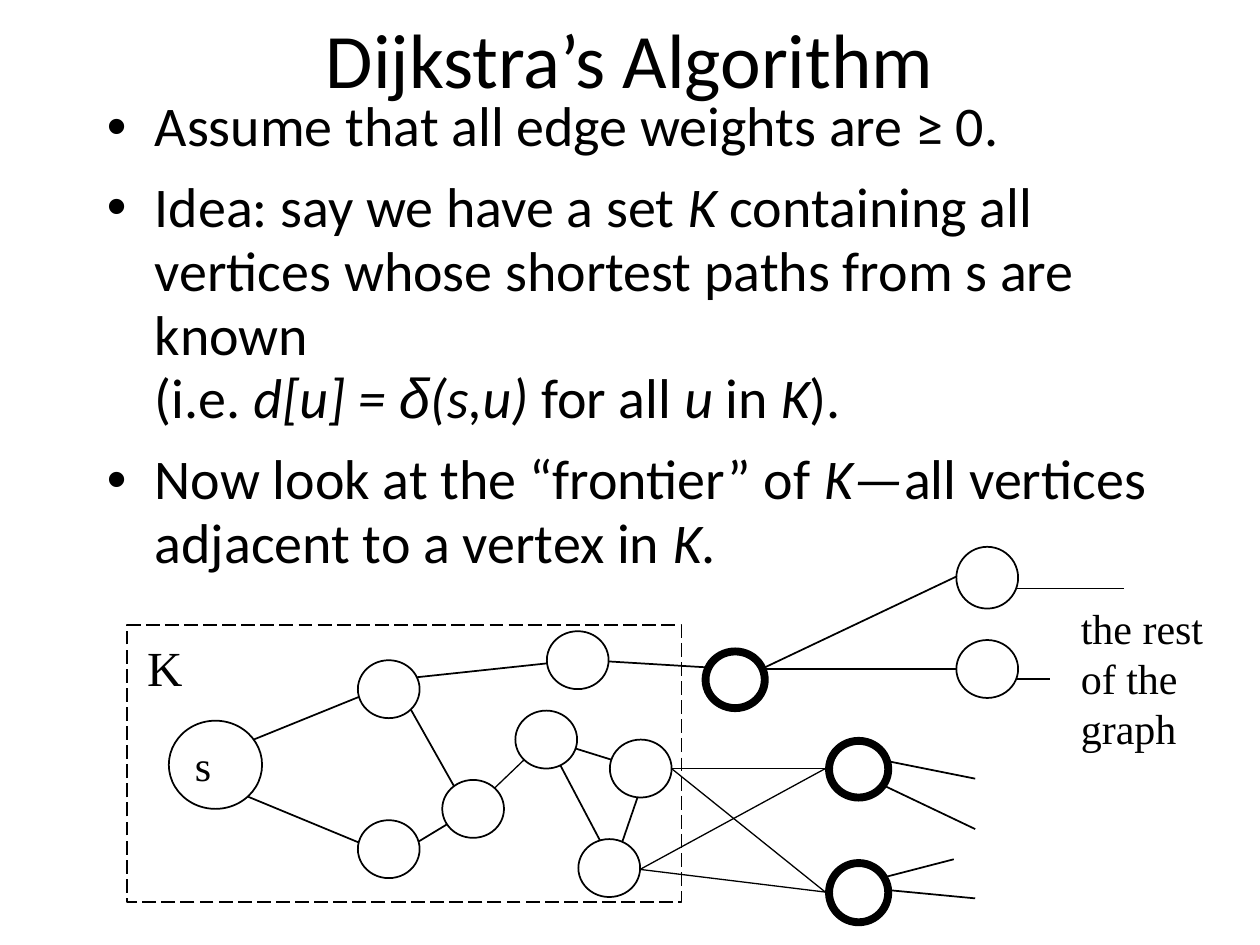
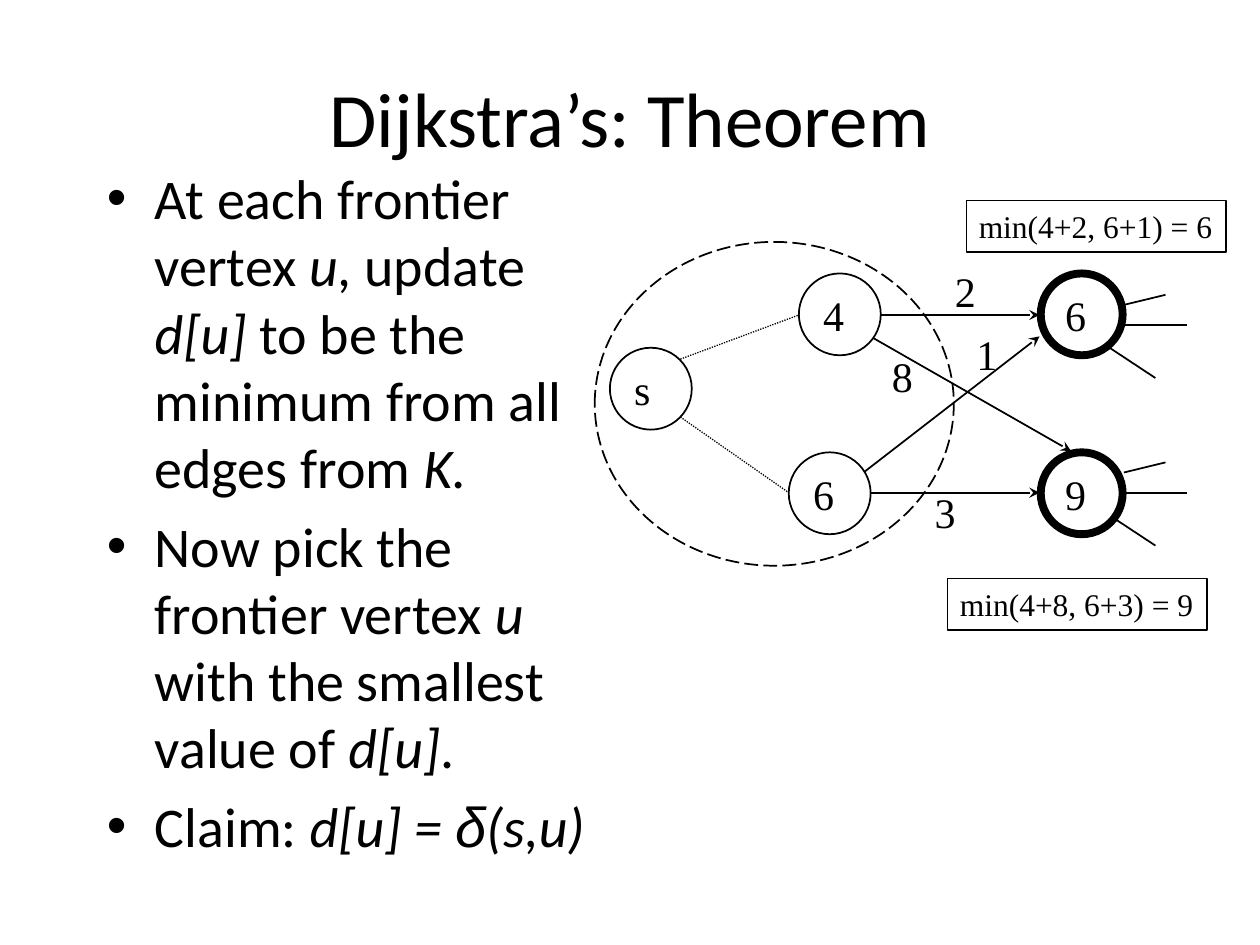
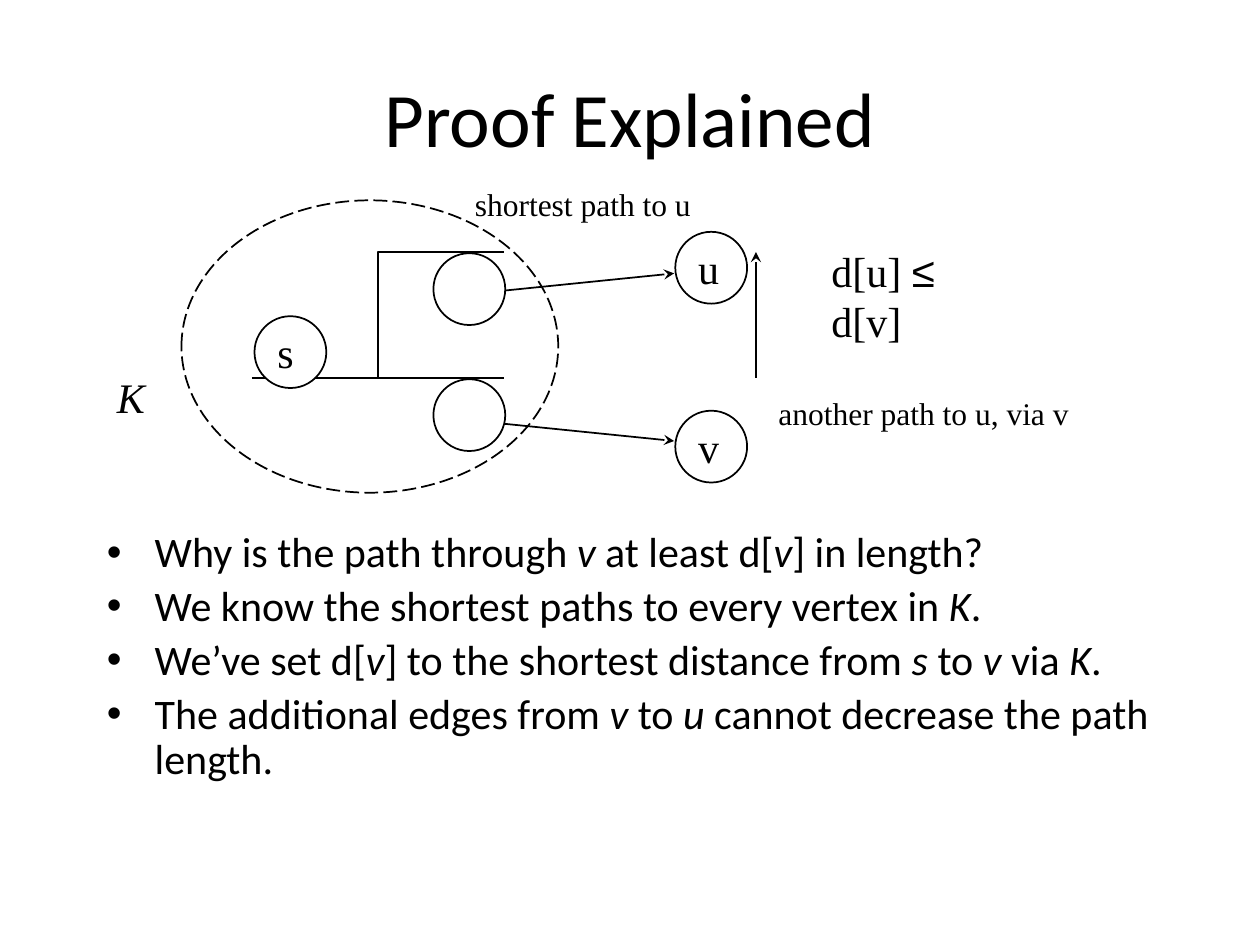
from itertools import groupby

from lxml import etree
from pptx import Presentation
from pptx import util as u
from pptx.dml.color import RGBColor
from pptx.enum import dml, shapes, text
from pptx.oxml.ns import qn

HUES = {"ink": "000000", "node": "FFFFFF"}
SANS, SERIF, MATH = "Calibri", "Times New Roman", "Arial"
DASH, DOT = dml.MSO_LINE.LONG_DASH, dml.MSO_LINE.ROUND_DOT
OVAL, RECT = shapes.MSO_SHAPE.OVAL, shapes.MSO_SHAPE.RECTANGLE
THIN, LINE, BOLD = 0.75, 1, 4.5
HEAD = (0.5, 0.3, 9, 1.25)

# In the bullets, * turns italics on and off.
IDEA = [
    "Assume that all edge weights are ≥ 0.",
    "Idea: say we have a set *K* containing all vertices whose shortest paths "
    "from s are known \n(i.e. *d[u] = δ(s,u)* for all *u* in *K*).",
    "Now look at the “frontier” of *K—*all vertices adjacent to a vertex in *K*.",
]
CLAIM = [
    "At each frontier vertex *u*, update *d[u] *to be the minimum from all edges from *K.*",
    "Now pick the frontier vertex *u* with the smallest value of *d[u]*.",
    "Claim: *d[u] = δ(s,u)*",
]
PROOF = [
    "Why is the path through *v* at least d[*v*] in length?",
    "We know the shortest paths to every vertex in *K*.",
    "We’ve set d[*v*] to the shortest distance from *s* to *v* via *K*.",
    "The additional edges from *v* to *u* cannot decrease the path length.",
]

# Edges: x1, y1, x2, y2
GRAPH = [
    (1.84, 5.94, 3, 5.47), (1.84, 6.27, 3.17, 6.82), (3.17, 5.39, 4.67, 5.23),
    (3.17, 5.47, 3.75, 6.5), (3.09, 6.82, 3.75, 6.42), (4.34, 5.87, 5.08, 6.1),
    (4.34, 5.87, 4.92, 6.97), (5.08, 6.27, 4.84, 6.97), (4.67, 5.24, 5.83, 5.31),
    (5.92, 5.31, 7.83, 5.31), (6, 5.33, 7.75, 4.5), (8, 4.67, 8.92, 4.67),
    (7.92, 5.39, 8.33, 5.39), (6.99, 6.03, 7.74, 6.18), (6.9, 6.18, 7.74, 6.58),
    (6.99, 6.97, 7.57, 6.82), (6.9, 7.05, 7.74, 7.13),
]
CROSS = [
    (3.92, 6.26, 4.16, 6.03), (5.33, 6.1, 6.55, 6.1), (5.33, 6.1, 6.55, 7.08),
    (5.08, 6.9, 6.55, 6.1), (5.08, 6.9, 6.55, 7.08),
]
KNOWN = [(2.84, 5.24), (4.34, 5.01), (4.09, 5.64), (2.84, 6.51), (3.51, 6.19),
         (4.84, 5.87), (4.59, 6.66), (7.59, 5.08)]
FRONT = [(5.6, 5.17, 0.45), (6.58, 5.88, 0.45), (6.58, 6.85, 0.47)]

COSTS = [(6.92, 2.5, 8.25, 2.5), (6.67, 3.91, 8.25, 3.91),
         (6.75, 3.83, 8.25, 2.67), (6.75, 2.58, 8.5, 3.58)]
PATHS = [(5.4, 2.85, 6.34, 2.5), (5.4, 3.31, 6.26, 3.91)]
FAN = [(8.67, 0.5, 9.17, 0.83), (8.75, 0.41, 9.42, 0.41), (8.92, 0.25, 9.25, 0.17)]
FAN_TOPS = (2.17, 3.5)
DISKS = [("s", 4.84, 2.76, LINE), ("4", 6.34, 2.17, LINE), ("6", 6.26, 3.59, LINE),
         ("6", 8.26, 2.17, BOLD), ("9", 8.26, 3.59, BOLD)]
WEIGHTS = [("2", 7.48, 2.06), ("1", 7.65, 2.56), ("3", 7.32, 3.81), ("8", 6.98, 2.73)]
SUMS = [("min(4+2, 6+1) = 6", 7.67, 1.59), ("min(4+8, 6+3) = 9", 7.52, 4.59)]

STEPS = [(3.77, 2.33, 5.35, 2.17), (3.77, 3.34, 5.35, 3.5)]
ROUND = [("s", 2.02, 2.51), ("", 3.44, 2.01), ("", 3.44, 3.01),
         ("u", 5.36, 1.84), ("v", 5.36, 3.26)]
NOTES = [("shortest path to u", 3.67, 1.42, 1.92), ("another path to u, via v", 6.08, 3.08, 2.51)]
UPPER = [
    (2.43, 2.67), (2.48, 2.65), (2.53, 2.6), (2.6, 2.53), (2.65, 2.49), (2.71, 2.45),
    (2.76, 2.42), (2.8, 2.41), (2.84, 2.42), (2.89, 2.45), (2.94, 2.47), (2.98, 2.48),
    (3.04, 2.49), (3.09, 2.52), (3.28, 2.52), (3.34, 2.49), (3.41, 2.46), (3.46, 2.43),
    (3.51, 2.41), (3.55, 2.38), (3.59, 2.37), (3.64, 2.35),
]
LOWER = [
    (2.52, 2.92), (2.56, 2.88), (2.66, 2.88), (2.71, 2.87), (2.74, 2.91), (2.76, 2.95),
    (2.79, 2.99), (2.8, 3.03), (2.81, 3.07), (2.85, 3.11), (2.91, 3.15), (3.23, 3.15),
    (3.28, 3.17), (3.31, 3.21), (3.35, 3.24), (3.4, 3.27), (3.45, 3.27), (3.49, 3.28),
    (3.6, 3.33),
]
DETOUR = [
    (5.68, 3.25), (5.76, 3.19), (5.81, 3.13), (5.84, 3.1), (5.85, 3.06), (5.86, 3.03),
    (5.85, 3), (5.82, 2.97), (5.79, 2.94), (5.73, 2.91), (5.68, 2.88), (5.62, 2.84),
    (5.57, 2.81), (5.54, 2.78), (5.52, 2.75), (5.53, 2.72), (5.55, 2.68), (5.59, 2.65),
    (5.63, 2.62), (5.68, 2.58), (5.72, 2.55), (5.75, 2.52), (5.77, 2.5), (5.77, 2.47),
    (5.74, 2.44), (5.7, 2.43), (5.69, 2.42), (5.68, 2.41),
]


def inches(*nums):
    return [u.Inches(n) for n in nums]


def hue(name):
    return RGBColor.from_string(HUES[name])


def style(font, face, size):
    font.name, font.size = face, u.Pt(size)
    font.color.rgb = hue("ink")


def pen(item, width=LINE, dash=None, arrow=False):
    line = item.line
    line.color.rgb = hue("ink")
    line.width = u.Pt(width)
    if dash:
        line.dash_style = dash
    if arrow:
        ln = item._element.spPr.find(qn("a:ln"))
        etree.SubElement(ln, qn("a:tailEnd"), type="stealth")


def write(para, words, face, size):
    """Add runs: * toggles italics, a newline breaks the line, δ and ≤ take the math font."""
    for i, part in enumerate(words.split("*")):
        for mark, chars in groupby(part, lambda c: c if c in "δ≤\n" else ""):
            if mark == "\n":
                para.add_line_break()
                continue
            run = para.add_run()
            run.text = "".join(chars)
            style(run.font, MATH if mark else face, size)
            run.font.italic = i % 2 == 1


def label(slide, words, x, y, w, h=0.5, size=24, wrap=False):
    box = slide.shapes.add_textbox(*inches(x, y, w, h))
    frame = box.text_frame
    frame.word_wrap = wrap
    for i, row in enumerate(words.split("\n")):
        para = frame.add_paragraph() if i else frame.paragraphs[0]
        write(para, row, SERIF, size)
    return box


def bullets(slide, rows, at, size, gap, pitch=1.0):
    frame = slide.shapes.add_textbox(*inches(*at)).text_frame
    frame.word_wrap = True
    for i, row in enumerate(rows):
        para = frame.add_paragraph() if i else frame.paragraphs[0]
        para.line_spacing = pitch
        if i:
            para.space_before = u.Pt(size * gap)
        props = para._p.get_or_add_pPr()
        props.set("marL", str(u.Inches(0.38)))
        props.set("indent", str(u.Inches(-0.38)))
        etree.SubElement(props, qn("a:buFont"), typeface=MATH)
        etree.SubElement(props, qn("a:buChar"), char="•")
        write(para, row, SANS, size)


def shape(slide, kind, at, width=LINE, dash=None, fill=None, words=""):
    item = slide.shapes.add_shape(kind, *inches(*at))
    item.shadow.inherit = False
    if fill:
        item.fill.solid()
        item.fill.fore_color.rgb = hue(fill)
    else:
        item.fill.background()
    pen(item, width, dash)
    if words:
        frame = item.text_frame
        frame.word_wrap = False
        frame.vertical_anchor = text.MSO_ANCHOR.MIDDLE
        para = frame.paragraphs[0]
        para.alignment = text.PP_ALIGN.LEFT
        write(para, words, SERIF, 24)


def node(slide, x, y, w, h, width=LINE, words=""):
    shape(slide, OVAL, (x, y, w, h), width, fill="node", words=words)


def edges(slide, ends, width=LINE, dash=None, arrow=False):
    for end in ends:
        link = slide.shapes.add_connector(shapes.MSO_CONNECTOR.STRAIGHT, *inches(*end))
        pen(link, width, dash, arrow)
        etree.SubElement(link._element.spPr, qn("a:effectLst"))


def curve(slide, dots, arrow=False):
    path = slide.shapes.build_freeform(*dots[0], scale=u.Inches(1))
    path.add_line_segments(dots[1:], close=False)
    item = path.convert_to_shape()
    item.shadow.inherit = False
    item.fill.background()
    pen(item, arrow=arrow)


def start(deck, words, at=HEAD):
    slide = deck.slides.add_slide(deck.slide_layouts[5])
    title = slide.shapes.title
    title.left, title.top, title.width, title.height = inches(*at)
    frame = title.text_frame
    frame.text = words
    frame.vertical_anchor = text.MSO_ANCHOR.MIDDLE
    para = frame.paragraphs[0]
    para.alignment = text.PP_ALIGN.CENTER
    style(para.runs[0].font, SANS, 44)
    return slide


def idea(deck):
    slide = start(deck, "Dijkstra’s Algorithm", (0.75, 0, 8.5, 0.92))
    bullets(slide, IDEA, (0.75, 0.71, 8.5, 4.17), 32, 0.3, 0.95)
    shape(slide, RECT, (1.01, 4.96, 4.4, 2.2), dash=DASH)
    edges(slide, GRAPH)
    edges(slide, CROSS, THIN)
    node(slide, 1.34, 5.72, 0.74, 0.7, words="s")
    node(slide, 7.59, 4.34, 0.49, 0.49)
    for x, y in KNOWN:
        node(slide, x, y, 0.49, 0.46)
    for x, y, h in FRONT:
        node(slide, x, y, 0.47, h, BOLD)
    label(slide, "K", 1.07, 5.01, 0.48, 0.57, 28)
    label(slide, "the rest\nof the\ngraph", 8.48, 4.73, 1.17, 1.3)


def claim(deck):
    slide = start(deck, "Dijkstra’s: Theorem")
    bullets(slide, CLAIM, (0.75, 1.25, 4.17, 5.42), 32, 0.2)
    shape(slide, OVAL, (4.72, 1.92, 2.85, 2.57), dash=DASH)
    edges(slide, COSTS, arrow=True)
    edges(slide, PATHS, THIN, DOT)
    for top in FAN_TOPS:
        edges(slide, [(a, top + b, c, top + d) for a, b, c, d in FAN])
    for words, x, y, width in DISKS:
        node(slide, x, y, 0.65, 0.65, width, words)
    for words, x, y in WEIGHTS:
        label(slide, words, x, y, 0.37)
    for words, x, y in SUMS:
        pen(label(slide, words, x, y, 2.06, 0.41, 18), THIN)


def proof(deck):
    slide = start(deck, "Proof Explained")
    bullets(slide, PROOF, (0.75, 4.17, 8.5, 2.25), 24, 0.2, 0.9)
    shape(slide, OVAL, (1.44, 1.59, 2.99, 2.32), dash=DASH)
    curve(slide, UPPER)
    curve(slide, LOWER)
    edges(slide, STEPS, arrow=True)
    for words, x, y in ROUND:
        node(slide, x, y, 0.57, 0.57, words=words)
    curve(slide, DETOUR, arrow=True)
    label(slide, "d[u] ≤ d[v]", 6.5, 1.9, 1.3, 0.9, wrap=True)
    label(slide, "*K*", 0.83, 2.9, 0.42)
    for words, x, y, w in NOTES:
        label(slide, words, x, y, w, 0.4, 18)


def main():
    deck = Presentation()
    deck.slide_width, deck.slide_height = inches(10, 7.5)
    for build in (idea, claim, proof):
        build(deck)
    deck.save("out.pptx")


if __name__ == "__main__":
    main()
